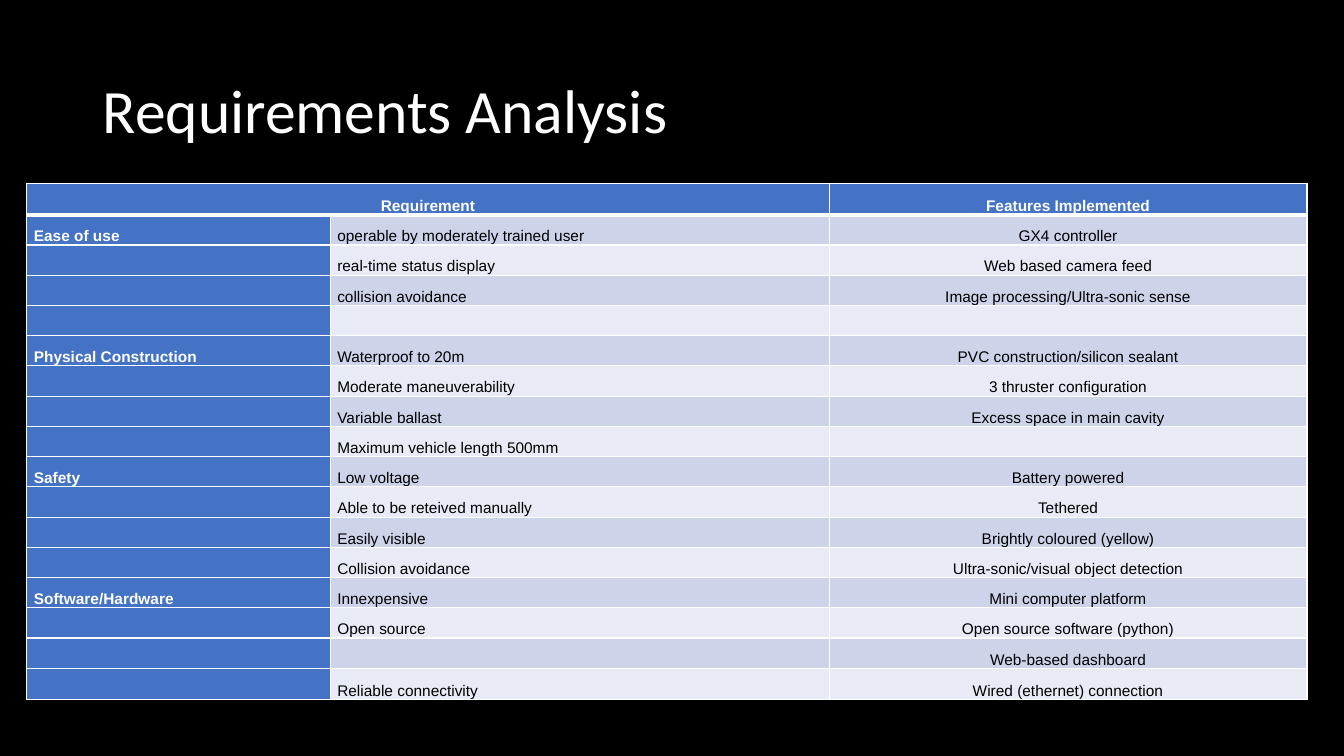
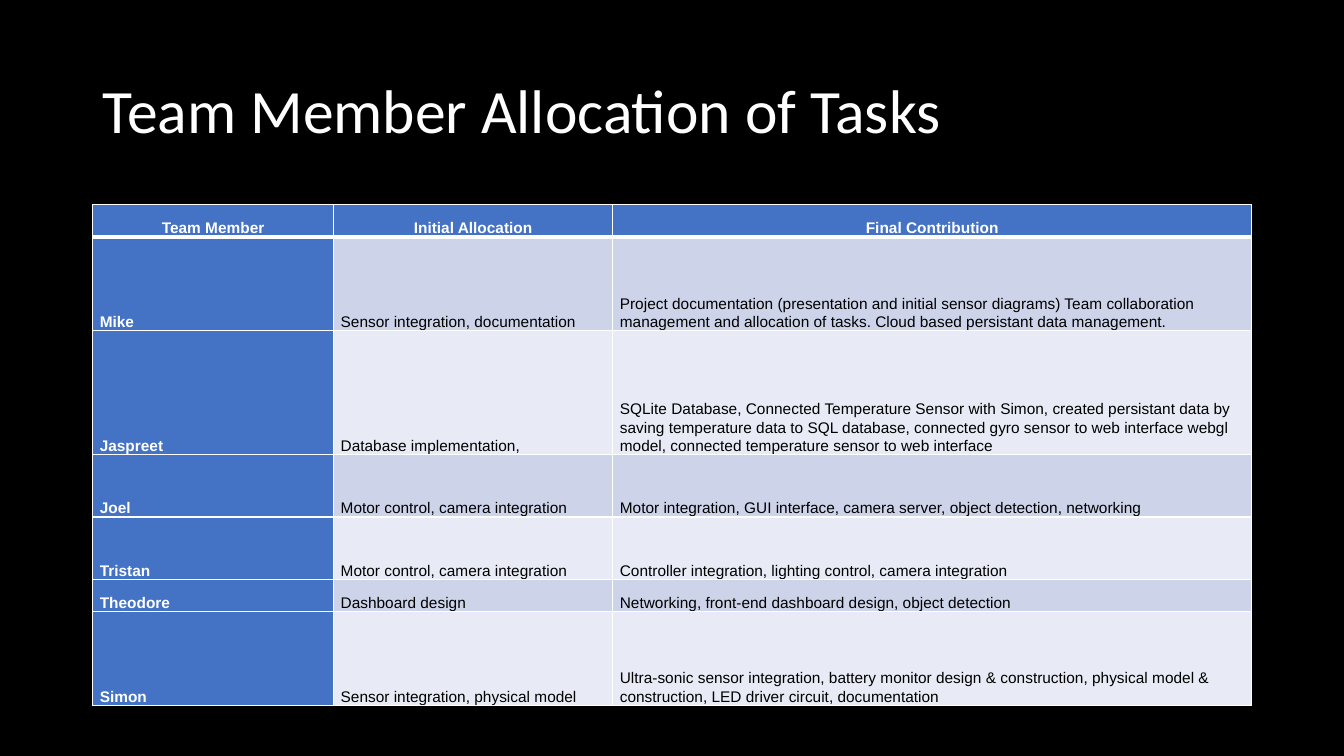
from dataclasses import dataclass

from lxml import etree
from pptx import Presentation
from pptx.dml.color import RGBColor
from pptx.enum.text import MSO_ANCHOR, PP_ALIGN
from pptx.oxml.ns import qn
from pptx.util import Inches, Pt

LEFT, CENTER = PP_ALIGN.LEFT, PP_ALIGN.CENTER
MIDDLE, BOTTOM = MSO_ANCHOR.MIDDLE, MSO_ANCHOR.BOTTOM
WIDE, HIGH = Inches(13.333), Inches(7.5)


@dataclass(frozen=True)
class Theme:
    back: str = "000000"
    light: str = "FFFFFF"
    dark: str = "000000"
    head: str = "4472C4"
    bands: tuple = ("E8EBF5", "CDD4EA")
    title: tuple = ("Calibri", 44)
    body: tuple = ("Arial", 11)
    thin: int = 1
    thick: int = 3


THEME = Theme()

# Boxes are left, top, width and height in percent of the slide.
TITLE_BOX = (6.9, 5.33, 86.25, 19.33)

NEEDS = {
    "title": "Requirements Analysis",
    "box": (2, 24.27, 95.25, 68.27),
    "cols": (3.01, 4.95, 4.74),
    "rows": (0.31, *[0.3] * 15, 0.31),
    "aligns": (LEFT, LEFT, CENTER),
    "merge": True,
    "cells": (
        ("Requirement", "", "Features Implemented"),
        ("Ease of use", "operable by moderately trained user", "GX4 controller"),
        ("", "real-time status display", "Web based camera feed"),
        ("", "collision avoidance", "Image processing/Ultra-sonic sense"),
        ("", "", ""),
        ("Physical Construction", "Waterproof to 20m", "PVC construction/silicon sealant"),
        ("", "Moderate maneuverability", "3 thruster configuration"),
        ("", "Variable ballast", "Excess space in main cavity"),
        ("", "Maximum vehicle length 500mm", ""),
        ("Safety", "Low voltage", "Battery powered"),
        ("", "Able to be reteived manually", "Tethered"),
        ("", "Easily visible", "Brightly coloured (yellow)"),
        ("", "Collision avoidance", "Ultra-sonic/visual object detection"),
        ("Software/Hardware", "Innexpensive", "Mini computer platform"),
        ("", "Open source", "Open source software (python)"),
        ("", "", "Web-based dashboard"),
        ("", "Reliable connectivity", "Wired (ethernet) connection"),
    ),
}

TASKS = {
    "title": "Team Member Allocation of Tasks",
    "box": (6.9, 27.07, 86.25, 66.27),
    "cols": (2.39, 2.77, 6.34),
    "rows": (0.32, 0.93, 1.23, 0.62, 0.62, 0.32, 0.93),
    "aligns": (LEFT, LEFT, LEFT),
    "merge": False,
    "cells": (
        ("Team Member", "Initial Allocation", "Final Contribution"),
        ("Mike", "Sensor integration, documentation",
         "Project documentation (presentation and initial sensor diagrams) "
         "Team collaboration management and allocation of tasks. "
         "Cloud based persistant data management."),
        ("Jaspreet", "Database implementation,",
         "SQLite Database, Connected Temperature Sensor with Simon, created "
         "persistant data by saving temperature data to SQL database, connected "
         "gyro sensor to web interface webgl model, connected temperature sensor "
         "to web interface"),
        ("Joel", "Motor control, camera integration",
         "Motor integration, GUI interface, camera server, object detection, networking"),
        ("Tristan", "Motor control, camera integration",
         "Controller integration, lighting control, camera integration"),
        ("Theodore", "Dashboard design",
         "Networking, front-end dashboard design, object detection"),
        ("Simon", "Sensor integration, physical model",
         "Ultra-sonic sensor integration, battery monitor design & construction, "
         "physical model & construction, LED driver circuit, documentation"),
    ),
}


def apply(item, **values):
    for name, value in values.items():
        setattr(item, name, value)


def place(box):
    """Turn a box in percent into slide lengths."""
    sides = (WIDE, HIGH, WIDE, HIGH)
    return [round(part * side / 100) for part, side in zip(box, sides)]


def share(total, parts):
    """Split a length in proportion to the parts."""
    return [round(total * part / sum(parts)) for part in parts]


def write(para, text, face, color, bold=False, **layout):
    name, size = face
    apply(para, **layout)
    if not text:
        # An empty cell still needs its type size, or its row would grow.
        etree.SubElement(para._p, qn("a:endParaRPr"), sz=str(size * 100))
        return
    run = para.add_run()
    run.text = text
    apply(run.font, name=name, size=Pt(size), bold=bold)
    run.font.color.rgb = RGBColor.from_string(color)


def edge(cell, widths):
    """Draw the cell's borders; widths are points by side."""
    props = cell._tc.get_or_add_tcPr()
    for spot, (side, width) in enumerate(widths.items()):
        line = etree.Element(qn(f"a:ln{side}"), w=str(Pt(width)))
        fill = etree.SubElement(line, qn("a:solidFill"))
        etree.SubElement(fill, qn("a:srgbClr"), val=THEME.light)
        props.insert(spot, line)


def add_title(slide, text, box):
    frame = slide.shapes.add_textbox(*place(box)).text_frame
    apply(frame, word_wrap=True, vertical_anchor=MIDDLE)
    write(frame.paragraphs[0], text, THEME.title, THEME.light, line_spacing=0.9)


def fill_cell(cell, text, row, col, align):
    head = row == 0
    strong = head or col == 0
    apply(cell, margin_left=Inches(0.07), margin_right=Inches(0.07),
          margin_top=0, margin_bottom=0, vertical_anchor=BOTTOM)
    cell.fill.solid()
    color = THEME.head if strong else THEME.bands[row % 2]
    cell.fill.fore_color.rgb = RGBColor.from_string(color)
    edge(cell, {"L": THEME.thin, "R": THEME.thin,
                "T": THEME.thick if row == 1 else THEME.thin,
                "B": THEME.thick if head else THEME.thin})
    write(cell.text_frame.paragraphs[0], text, THEME.body,
          THEME.light if strong else THEME.dark, strong,
          alignment=CENTER if head else align, line_spacing=1.07)


def add_grid(slide, data):
    left, top, width, height = place(data["box"])
    cells = data["cells"]
    grid = slide.shapes.add_table(
        len(cells), len(data["cols"]), left, top, width, height).table
    apply(grid, first_row=False, horz_banding=False)
    for col, size in zip(grid.columns, share(width, data["cols"])):
        col.width = size
    for row, size in zip(grid.rows, share(height, data["rows"])):
        row.height = size
    if data["merge"]:
        grid.cell(0, 0).merge(grid.cell(0, 1))
    for row, texts in enumerate(cells):
        for col, (text, align) in enumerate(zip(texts, data["aligns"])):
            fill_cell(grid.cell(row, col), text, row, col, align)


def add_slide(deck, data):
    slide = deck.slides.add_slide(deck.slide_layouts[6])
    slide.background.fill.solid()
    slide.background.fill.fore_color.rgb = RGBColor.from_string(THEME.back)
    add_title(slide, data["title"], TITLE_BOX)
    add_grid(slide, data)


def main():
    deck = Presentation()
    apply(deck, slide_width=WIDE, slide_height=HIGH)
    for data in (NEEDS, TASKS):
        add_slide(deck, data)
    deck.save("out.pptx")


if __name__ == "__main__":
    main()
